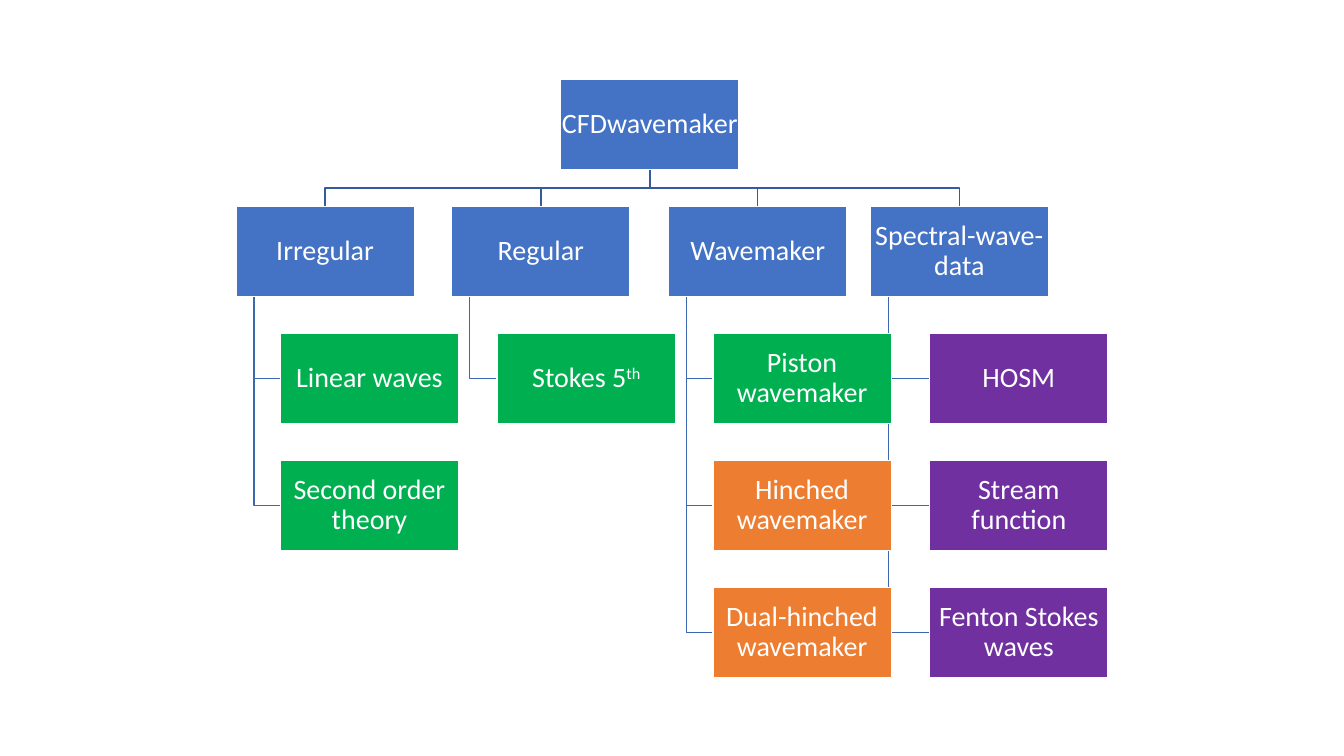
"""Build the CFDwavemaker wave theory hierarchy slide."""
from collections import namedtuple

from pptx import Presentation
from pptx.dml.color import RGBColor
from pptx.enum.shapes import MSO_SHAPE
from pptx.enum.text import MSO_ANCHOR, PP_ALIGN
from pptx.util import Inches, Pt

Box = namedtuple("Box", "left top width height")
Branch = namedtuple("Branch", "label left indent children")

BLUE, GREEN, ORANGE, PURPLE, WHITE = "4472C4", "00B050", "ED7D31", "7030A0", "FFFFFF"
TRUNK_LINE, CHILD_LINE = "365B9D", "3E67B2"
NODE_WIDTH, NODE_HEIGHT, ROW_PITCH = 1.77, 0.89, 1.26
STEM_INSET = 0.18

BRANCHES = [
    Branch("Irregular", 0, 0.44, [("Linear waves", GREEN), ("Second order theory", GREEN)]),
    Branch("Regular", 2.14, 0.45, [("Stokes 5^th", GREEN)]),
    Branch("Wavemaker", 4.29, 0.44, [("Piston wavemaker", GREEN),
                                     ("Hinched wavemaker", ORANGE),
                                     ("Dual-hinched wavemaker", ORANGE)]),
    Branch("Spectral-wave-data", 6.29, 0.59, [("HOSM", PURPLE),
                                              ("Stream function", PURPLE),
                                              ("Fenton Stokes waves", PURPLE)]),
]


def paint(color_format, hex_color):
    """Apply a hex colour to a fill, line or font colour format."""
    color_format.rgb = RGBColor.from_string(hex_color)


def outline(shape, hex_color):
    """Give a shape a one-point line and no shadow."""
    shape.shadow.inherit = False
    shape.line.width = Pt(1)
    shape.line.fill.solid()
    paint(shape.line.color, hex_color)


def add_route(slide, points, hex_color):
    """Draw an open bent line through points in inches."""
    start, *bends = [(Inches(x), Inches(y)) for x, y in points]
    builder = slide.shapes.build_freeform(*start)
    builder.add_line_segments(bends, close=False)
    route = builder.convert_to_shape()
    route.fill.background()
    outline(route, hex_color)


def add_node(slide, box, label, hex_color):
    """Draw a labelled node; text after a caret becomes superscript."""
    node = slide.shapes.add_shape(MSO_SHAPE.RECTANGLE, *map(Inches, box))
    node.fill.solid()
    paint(node.fill.fore_color, hex_color)
    outline(node, WHITE)
    frame = node.text_frame
    frame.word_wrap = True
    frame.vertical_anchor = MSO_ANCHOR.MIDDLE
    frame.margin_left = frame.margin_right = Inches(0.01)
    frame.margin_top = frame.margin_bottom = Inches(0.01)
    caption = frame.paragraphs[0]
    caption.alignment = PP_ALIGN.CENTER
    caption.line_spacing = 0.9
    caption.font.size = Pt(20)
    caption.font.name = "Calibri"
    paint(caption.font.color, WHITE)
    base, _, exponent = label.partition("^")
    caption.add_run().text = base
    if exponent:
        raised = caption.add_run()
        raised.text = exponent
        raised._r.get_or_add_rPr().set("baseline", "30000")


def node_box(area, left, row):
    """Return the node box at an offset and row within the area."""
    return Box(area.left + left, area.top + row * ROW_PITCH, NODE_WIDTH, NODE_HEIGHT)


def add_branch_routes(slide, area, root, branch):
    """Draw the lines from the root to a branch and on to its children."""
    head = node_box(area, branch.left, 1)
    root_x, head_x = (box.left + NODE_WIDTH / 2 for box in (root, head))
    root_bottom = root.top + NODE_HEIGHT
    bend_y = (root_bottom + head.top) / 2
    stem_x = head.left + STEM_INSET
    for row in range(len(branch.children) + 1, 1, -1):
        child = node_box(area, branch.left + branch.indent, row)
        child_y = child.top + NODE_HEIGHT / 2
        add_route(slide, [(stem_x, head.top + NODE_HEIGHT), (stem_x, child_y),
                          (child.left, child_y)], CHILD_LINE)
    add_route(slide, [(root_x, root_bottom), (root_x, bend_y),
                      (head_x, bend_y), (head_x, head.top)], TRUNK_LINE)


def add_branch_nodes(slide, area, branch):
    """Draw a branch heading and its indented children."""
    add_node(slide, node_box(area, branch.left, 1), branch.label, BLUE)
    for row, (label, hex_color) in enumerate(branch.children, start=2):
        add_node(slide, node_box(area, branch.left + branch.indent, row), label, hex_color)


def add_hierarchy(slide, area):
    """Draw the whole hierarchy, lines behind nodes, inside the area."""
    root = node_box(area, (area.width - NODE_WIDTH) / 2 - 0.22, 0)
    for branch in reversed(BRANCHES):
        add_branch_routes(slide, area, root, branch)
    add_node(slide, root, "CFDwavemaker", BLUE)
    for branch in BRANCHES:
        add_branch_nodes(slide, area, branch)


presentation = Presentation()
presentation.slide_width, presentation.slide_height = Inches(13.33), Inches(7.5)
hierarchy_slide = presentation.slides.add_slide(presentation.slide_layouts[6])
add_hierarchy(hierarchy_slide, Box(2.34, 0.79, 8.65, 5.93))
presentation.save("out.pptx")
